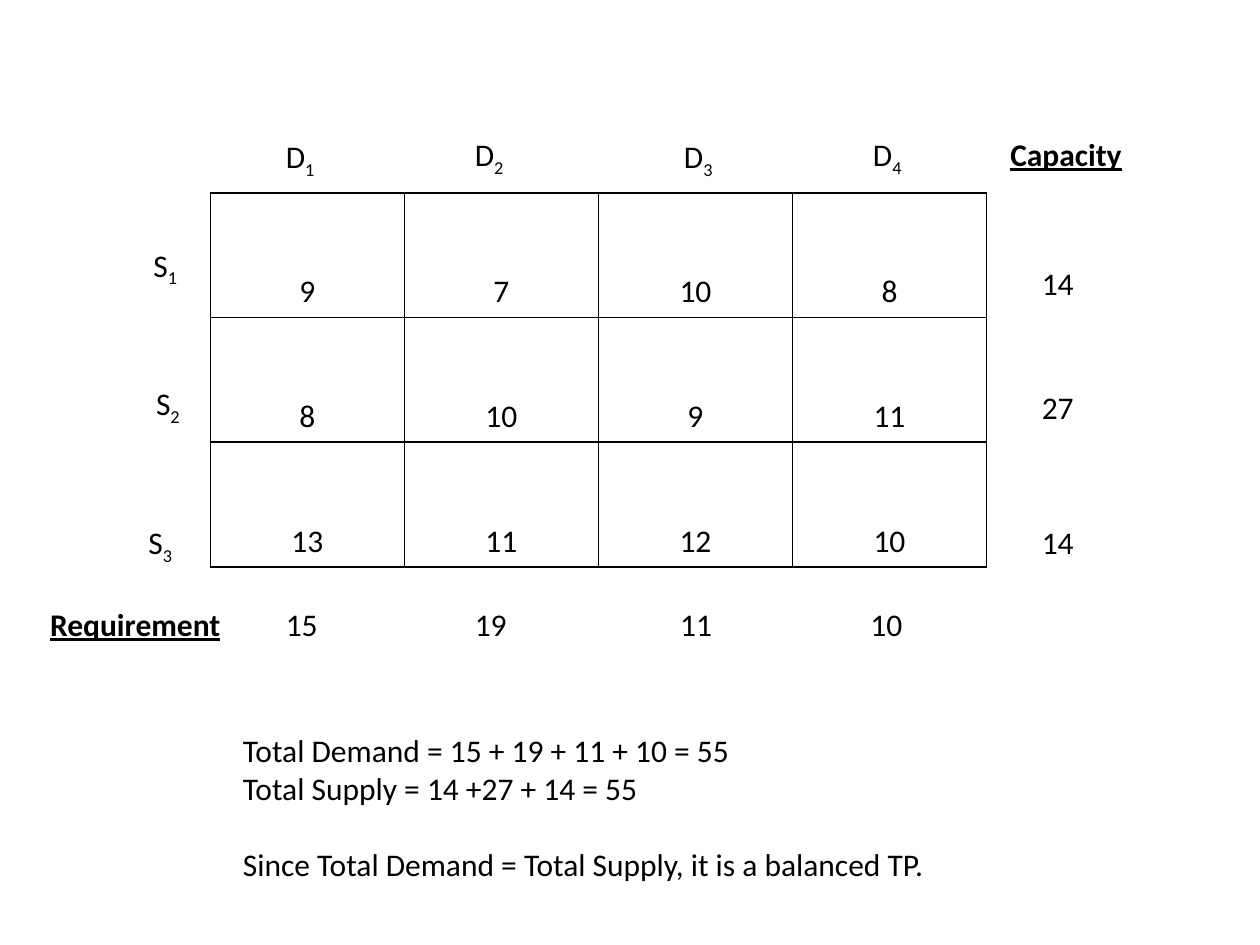
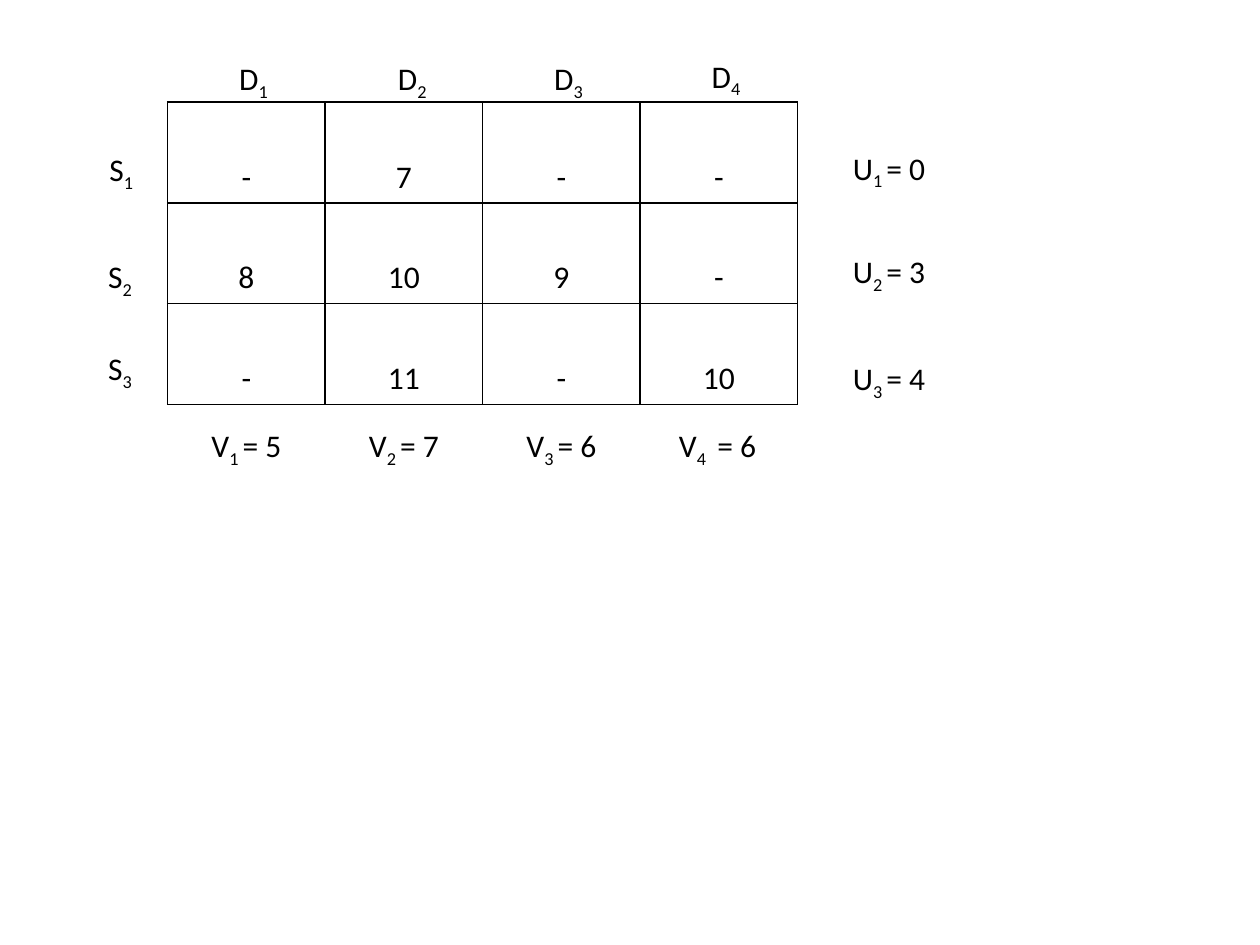
from lxml import etree
from pptx import Presentation
from pptx.dml.color import RGBColor
from pptx.enum import text
from pptx.oxml import ns
from pptx.util import Inches, Pt

BLACK = RGBColor(0, 0, 0)
FONT = "Calibri"
BODY_SIZE = Pt(18)
SUBSCRIPT = "-25000"
LABEL_HEIGHT = 0.4


def add_label(slide, left, top, width, name, index="", rest="", height=LABEL_HEIGHT):
    """Add a text box reading name, subscript index, then rest; return its paragraph."""
    frame = slide.shapes.add_textbox(
        Inches(left), Inches(top), Inches(width), Inches(height)).text_frame
    frame.word_wrap = True
    paragraph = frame.paragraphs[0]
    style(paragraph)
    for part in (name, index, rest):
        if part:
            run = paragraph.add_run()
            run.text = part
            if part == index:
                run.font._element.set("baseline", SUBSCRIPT)
    return paragraph


def style(paragraph):
    paragraph.font.name = FONT
    paragraph.font.size = BODY_SIZE
    paragraph.font.color.rgb = BLACK


prs = Presentation()
prs.slide_width, prs.slide_height = Inches(10), Inches(7.5)
blank = prs.slide_layouts[6]
balance, potentials = [prs.slides.add_slide(blank) for _ in range(2)]

# Cost grids: slide, left, top, column width, row height, costs
grids = [
    (balance, 1.67, 1.53, 1.54, 0.99,
     [["9", "7", "10", "8"], ["8", "10", "9", "11"], ["13", "11", "12", "10"]]),
    (potentials, 1.33, 0.81, 1.25, 0.8,
     [["-", "7", "-", "-"], ["8", "10", "9", "-"], ["-", "11", "-", "10"]]),
]
for slide, left, top, column_width, row_height, costs in grids:
    grid = slide.shapes.add_table(
        len(costs), len(costs[0]), Inches(left), Inches(top),
        Inches(column_width * len(costs[0])), Inches(row_height * len(costs))).table
    grid.first_row = grid.horz_banding = False
    for column in grid.columns:
        column.width = Inches(column_width)
    for row, row_costs in zip(grid.rows, costs):
        row.height = Inches(row_height)
        for cell, cost in zip(row.cells, row_costs):
            cell.text = cost
            cell.vertical_anchor = text.MSO_ANCHOR.BOTTOM
            cell.text_frame.paragraphs[0].alignment = text.PP_ALIGN.CENTER
            style(cell.text_frame.paragraphs[0])
            properties = cell._tc.get_or_add_tcPr()
            for side in ("lnL", "lnR", "lnT", "lnB"):
                border = etree.SubElement(properties, ns.qn(f"a:{side}"), w=str(Pt(1)))
                line_fill = etree.SubElement(border, ns.qn("a:solidFill"))
                etree.SubElement(line_fill, ns.qn("a:srgbClr"), val=str(BLACK))
            cell.fill.background()

# Sources and destinations: slide, name, width, positions
headings = [
    (balance, "S", 0.5, [(1.12, 1.9), (1.14, 3), (1.08, 4.1)]),
    (balance, "D", 0.67, [(2.17, 1.04), (3.67, 1.02), (5.33, 1.04), (6.83, 1.02)]),
    (potentials, "S", 0.41, [(0.77, 1.14), (0.76, 1.99), (0.76, 2.72)]),
    (potentials, "D", 0.54, [(1.8, 0.42), (3.06, 0.42), (4.3, 0.42), (5.55, 0.4)]),
]
for slide, name, width, positions in headings:
    for index, (left, top) in enumerate(positions, 1):
        add_label(slide, left, top, width, name, str(index))

# Slide 1: capacities, requirements and the balance check
for capacity, top in [("14", 2.05), ("27", 3.03), ("14", 4.1)]:
    add_label(balance, 8.17, top, 0.5, capacity)
for requirement, left in [("15", 2.17), ("19", 3.67), ("11", 5.3), ("10", 6.81)]:
    add_label(balance, left, 4.75, 0.5, requirement)
for title, left, top in [("Capacity", 7.92, 1.02), ("Requirement", 0.3, 4.75)]:
    heading = add_label(balance, left, top, 1.67, title)
    heading.font.bold = heading.font.underline = True

demand = add_label(balance, 1.83, 5.75, 6.5, "Total Demand = 15 + 19 + 11 + 10 = 55", height=1.31)
check = demand._parent
for sentence in ("Total Supply = 14 +27 + 14 = 55",
                 "Since Total Demand = Total Supply, it is a balanced TP."):
    paragraph = check.add_paragraph()
    paragraph.text = sentence
    style(paragraph)
paragraph.space_before = Pt(22)

# Slide 2: row and column potentials
for index, (value, top) in enumerate([("= 0", 1.13), ("= 3", 1.95), ("= 4", 2.8)], 1):
    add_label(potentials, 6.67, top, 1.25, "U", f"{index} ", value)
for index, (value, left) in enumerate(
        [("= 5", 1.58), ("= 7", 2.83), ("= 6", 4.08), (" = 6", 5.29)], 1):
    add_label(potentials, left, 3.33, 1.04, "V", f"{index} ", value)

prs.save("out.pptx")
